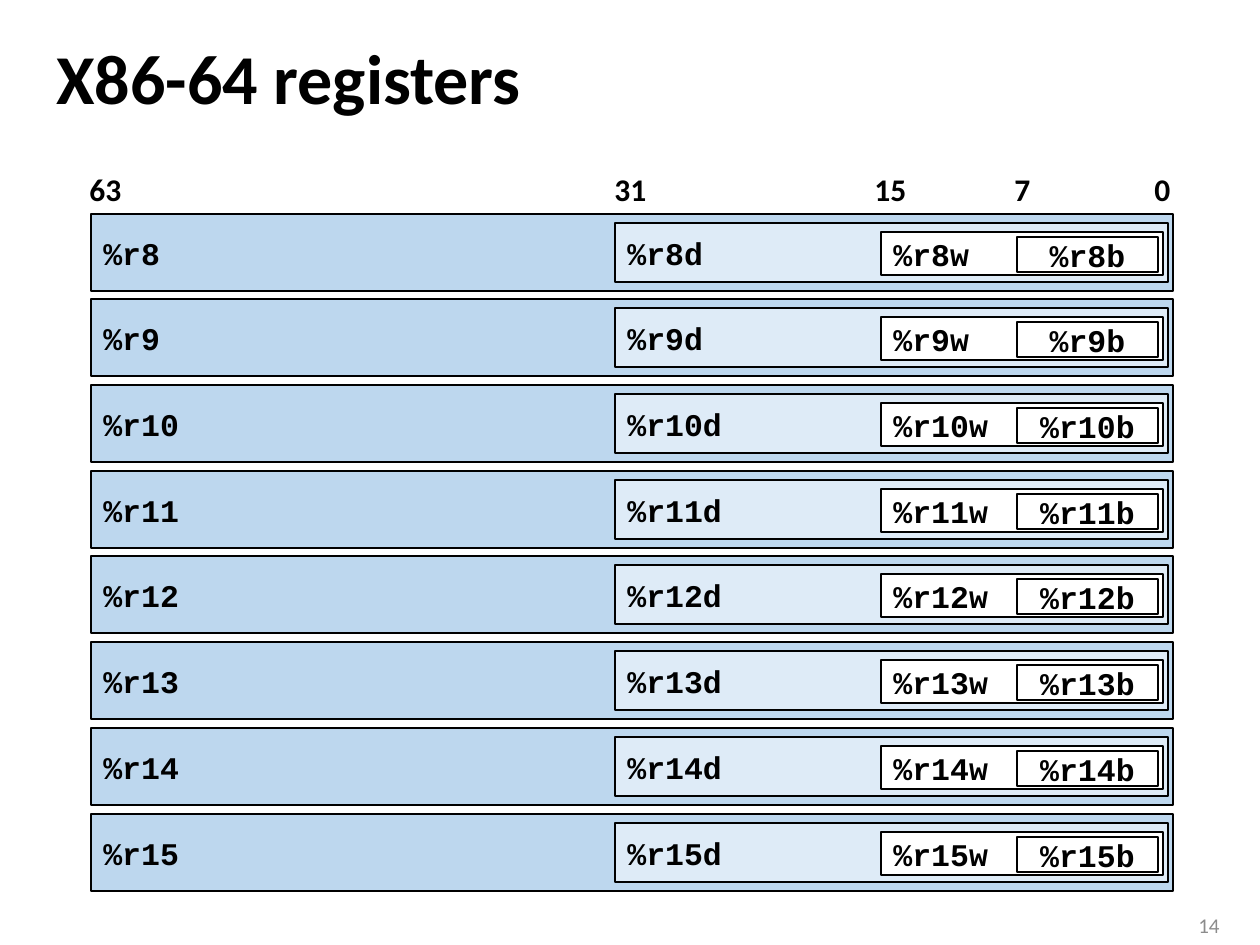
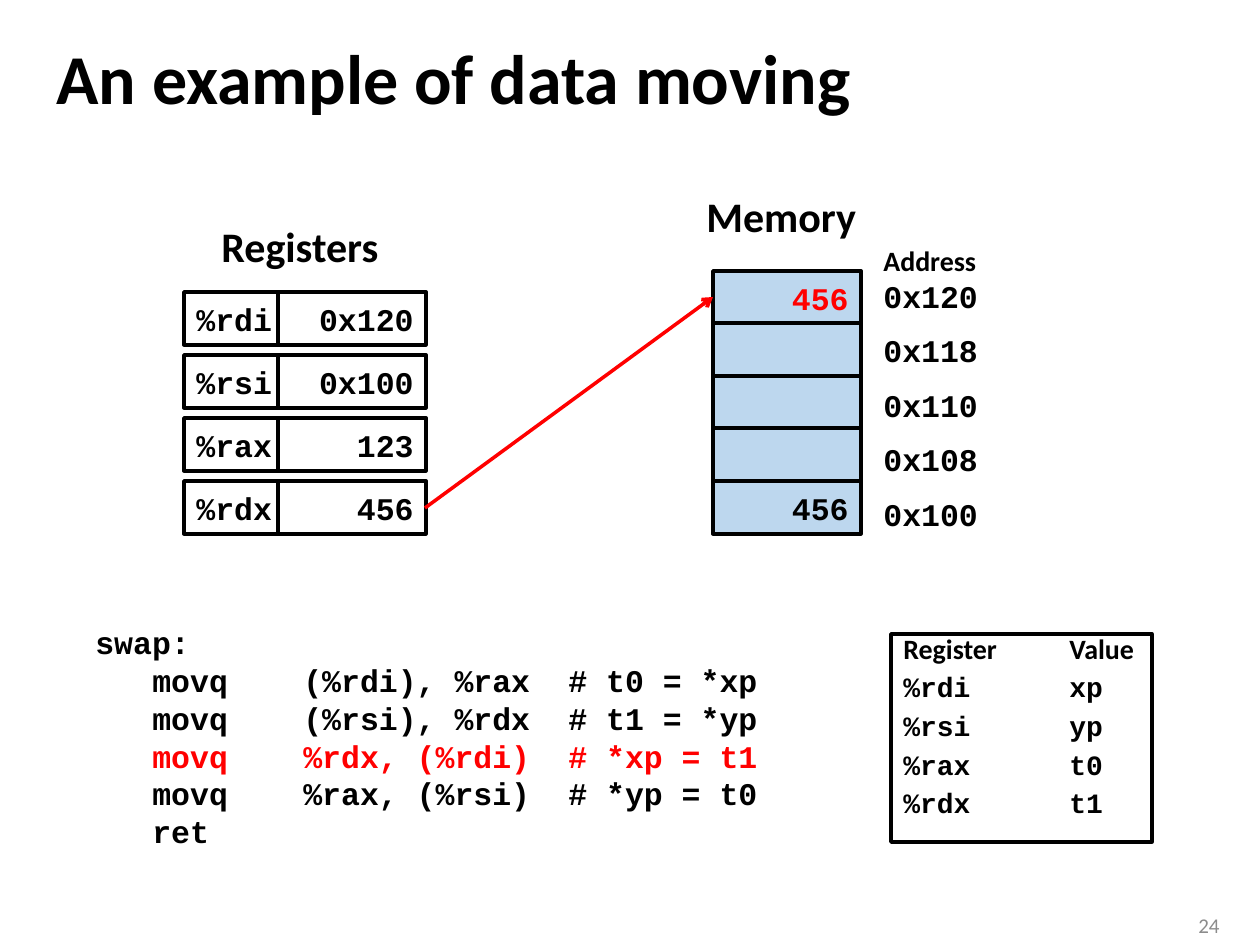
import pptx
import pptx.dml.color
import pptx.enum.shapes
import pptx.enum.text
import pptx.oxml.ns
import pptx.util
from lxml import etree

RGBColor = pptx.dml.color.RGBColor
BLACK = RGBColor(0x00, 0x00, 0x00)
WHITE = RGBColor(0xFF, 0xFF, 0xFF)
GRAY = RGBColor(0x8C, 0x8C, 0x8C)
RED = RGBColor(0xFF, 0x00, 0x00)
BLUE = RGBColor(0xBD, 0xD7, 0xEE)
PALE_BLUE = RGBColor(0xDE, 0xEB, 0xF7)

SANS = "Calibri"
MONO = "Courier New"
LEFT = pptx.enum.text.PP_ALIGN.LEFT
CENTER = pptx.enum.text.PP_ALIGN.CENTER
RIGHT = pptx.enum.text.PP_ALIGN.RIGHT
TOP = pptx.enum.text.MSO_ANCHOR.TOP
MIDDLE = pptx.enum.text.MSO_ANCHOR.MIDDLE

PX_PER_INCH = 126


def px(length):
    return pptx.util.Emu(round(length * 914400 / PX_PER_INCH))


def add_xml(parent, tag, **attributes):
    return etree.SubElement(parent, pptx.oxml.ns.qn(tag), **attributes)


class Deck:
    """Holds the shared style and the slide being drawn."""

    def __init__(self):
        self.presentation = pptx.Presentation()
        self.presentation.slide_width = px(1260)
        self.presentation.slide_height = px(945)
        self.slide = None

    def new_slide(self, title, number):
        self.slide = self.presentation.slides.add_slide(
            self.presentation.slide_layouts[6])
        heading = self.text([title], 44, 24, 1171, 116, size=40, anchor=MIDDLE)
        heading.text_frame.paragraphs[0].line_spacing = 0.9
        self.text([number], 1168, 906, 64, 39, size=12, color=GRAY,
                  bold=False, align=RIGHT, anchor=MIDDLE)

    def fill_text(self, shape, lines, font=SANS, size=18, color=BLACK,
                  bold=True, align=LEFT, anchor=TOP, wrap=True, tabs=()):
        frame = shape.text_frame
        frame.word_wrap = wrap
        frame.vertical_anchor = anchor
        for index, line in enumerate(lines):
            paragraph = frame.add_paragraph() if index else frame.paragraphs[0]
            paragraph.text = line
            paragraph.alignment = align
            if tabs:
                tab_list = add_xml(paragraph._p.get_or_add_pPr(), "a:tabLst")
                for tab in tabs:
                    add_xml(tab_list, "a:tab", pos=str(px(tab)), algn="l")
            paragraph.font.name = font
            paragraph.font.size = pptx.util.Pt(size)
            paragraph.font.bold = bold
            paragraph.font.color.rgb = color

    def text(self, lines, left, top, width, height, **style):
        shape = self.slide.shapes.add_textbox(
            px(left), px(top), px(width), px(height))
        self.fill_text(shape, lines, **style)
        return shape

    def box(self, lines, left, top, width, height, fill=WHITE, line=2,
            font=MONO, anchor=MIDDLE, **style):
        shape = self.slide.shapes.add_shape(
            pptx.enum.shapes.MSO_SHAPE.RECTANGLE,
            px(left), px(top), px(width), px(height))
        shape.shadow.inherit = False
        if fill is None:
            shape.fill.background()
        else:
            shape.fill.solid()
            shape.fill.fore_color.rgb = fill
        shape.line.color.rgb = BLACK
        shape.line.width = pptx.util.Pt(line)
        self.fill_text(shape, lines, font=font, anchor=anchor, **style)
        return shape

    def arrow(self, x1, y1, x2, y2, color):
        connector = self.slide.shapes.add_connector(
            pptx.enum.shapes.MSO_CONNECTOR.STRAIGHT,
            px(x1), px(y1), px(x2), px(y2))
        connector.line.color.rgb = color
        connector.line.width = pptx.util.Pt(2)
        add_xml(connector.line._get_or_add_ln(), "a:tailEnd", type="arrow")
        add_xml(connector._element.spPr, "a:effectLst")


def draw_register_widths(deck):
    deck.new_slide("X86-64 registers", "14")

    # Nested parts of each register: suffix, left, inset, width, height
    parts = [
        ("", 91, 0, 1082, 77, BLUE, 0.75, LEFT),
        ("d", 615, 9, 553, 59, PALE_BLUE, 0.75, LEFT),
        ("w", 881, 18, 282, 43, WHITE, 0.75, LEFT),
        ("b", 1017, 23, 141, 35, WHITE, 1.25, CENTER),
    ]
    for row in range(8):
        top = 214 + row * 600 // 7
        for suffix, left, inset, width, height, fill, line, align in parts:
            deck.box([f"%r{row + 8}{suffix}"], left, top + inset, width, height,
                     fill=fill, line=line, align=align)

    # Bit positions
    for bit, left, width in [("63", 77, 58), ("31", 602, 58), ("15", 862, 58),
                             ("7", 1002, 42), ("0", 1142, 42)]:
        deck.text([bit], left, 164, width, 50, wrap=False)


def draw_data_moving(deck):
    deck.new_slide("An example of data moving", "24")

    # Memory cells and their addresses
    deck.text(["Memory"], 694, 184, 176, 63, size=24, wrap=False)
    deck.text(["Address"], 871, 237, 168, 47, size=16)
    cells = [("0x120", "456", RED), ("0x118", "", BLACK), ("0x110", "", BLACK),
             ("0x108", "", BLACK), ("0x100", "456", BLACK)]
    for row, (address, value, color) in enumerate(cells):
        deck.box([value] if value else [], 713, 271 + row * 105 // 2, 148, 53,
                 fill=BLUE, color=color, align=RIGHT, wrap=False)
        deck.text([address], 871, 271 + row * 109 // 2, 168, 50, font=MONO)

    # Registers
    deck.text(["Registers"], 209, 214, 186, 63, size=24, wrap=False)
    registers = [("%rdi", "0x120"), ("%rsi", "0x100"),
                 ("%rax", "123"), ("%rdx", "456")]
    for row, (name, value) in enumerate(registers):
        top = 292 + row * 63
        deck.box([name], 184, top, 94, 53, wrap=False)
        deck.box([value], 278, top, 148, 53, align=RIGHT, wrap=False)
    deck.arrow(425, 508, 713, 297, RED)

    # Assembly code, with the current instruction in red
    code = deck.text(
        ["swap:",
         "\tmovq\t(%rdi), %rax\t# t0 = *xp",
         "\tmovq\t(%rsi), %rdx\t# t1 = *yp",
         "\tmovq\t%rdx, (%rdi)\t# *xp = t1",
         "\tmovq\t%rax, (%rsi)\t# *yp = t0",
         "\tret"],
        83, 617, 809, 242, font=MONO, tabs=(57, 208, 473))
    code.text_frame.paragraphs[3].font.color.rgb = RED

    # Meaning of each register
    legend = deck.box(
        ["Register\tValue", "%rdi\txp", "%rsi\typ", "%rax\tt0", "%rdx\tt1"],
        891, 634, 261, 208, fill=None, size=16, anchor=TOP, tabs=(166,))
    for paragraph in legend.text_frame.paragraphs:
        paragraph.line_spacing = 0.7
        paragraph.space_before = pptx.util.Pt(8.7)
    legend.text_frame.paragraphs[0].font.name = SANS


def main():
    deck = Deck()
    draw_register_widths(deck)
    draw_data_moving(deck)
    deck.presentation.save("out.pptx")


if __name__ == "__main__":
    main()
